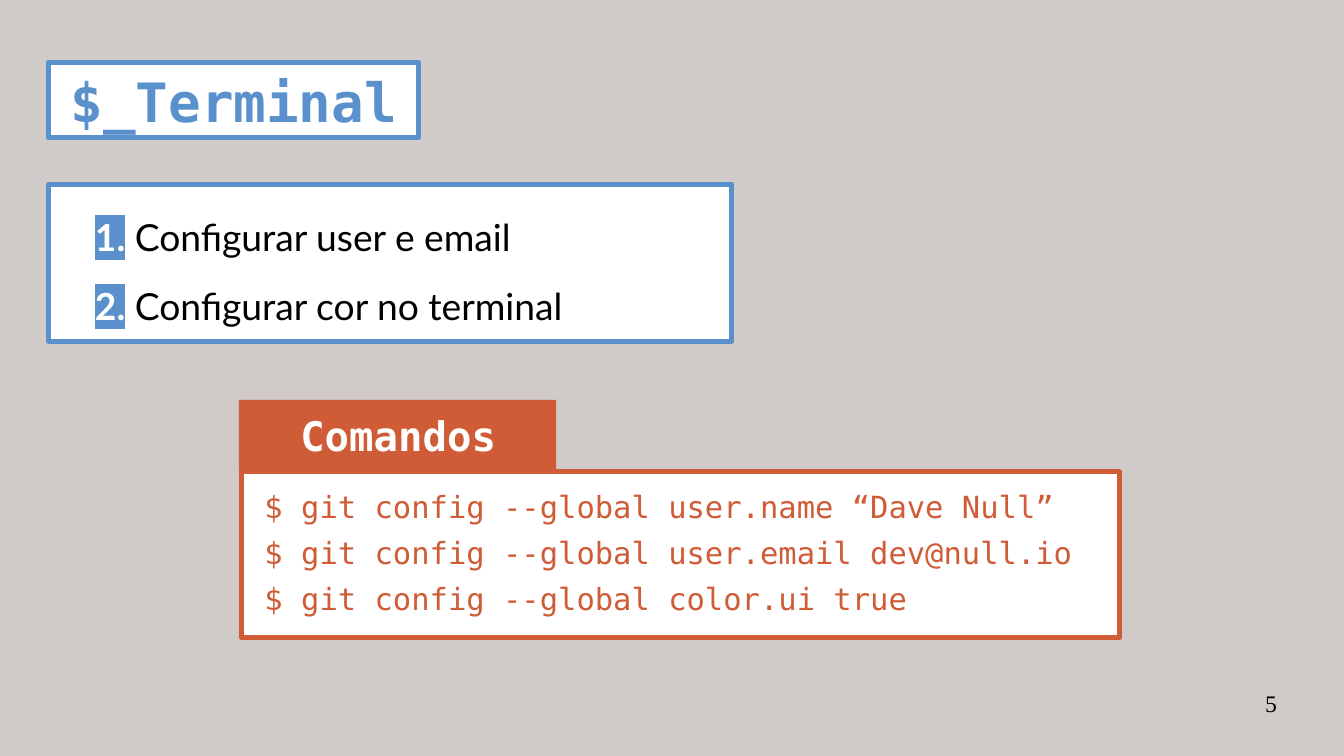
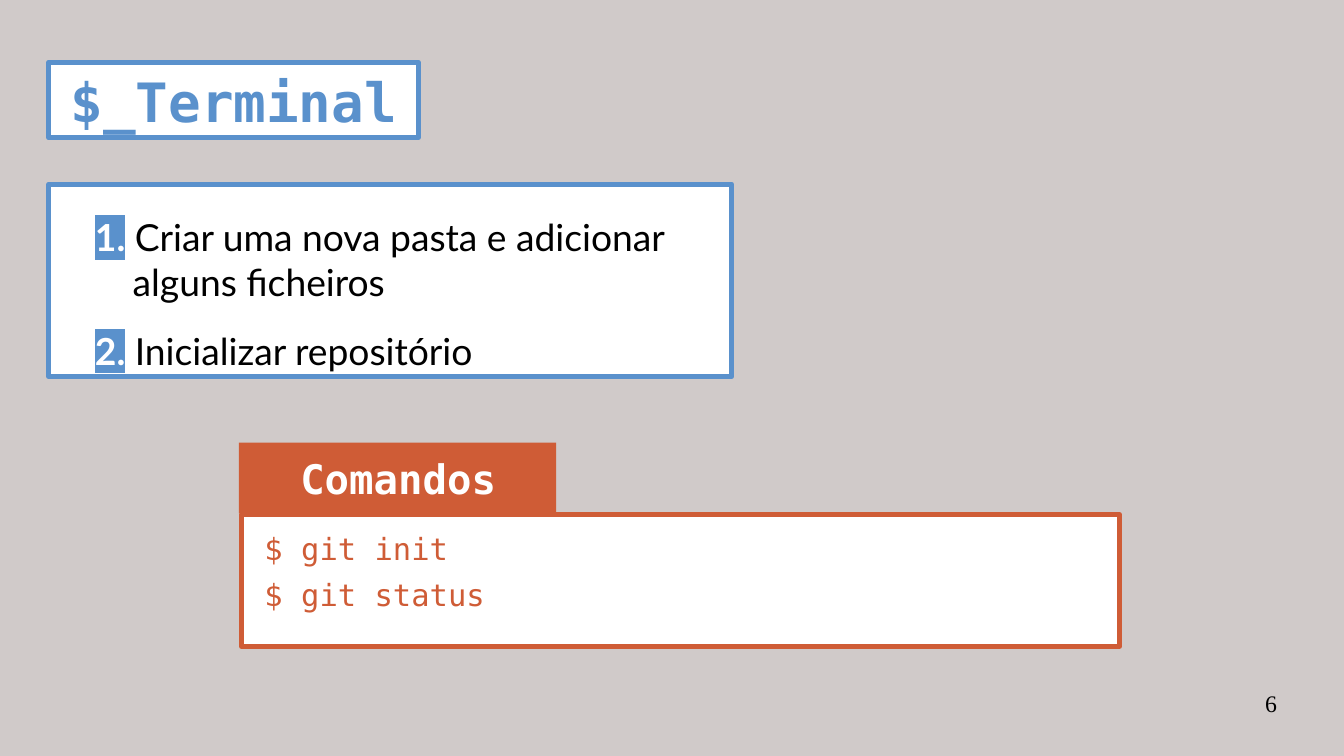
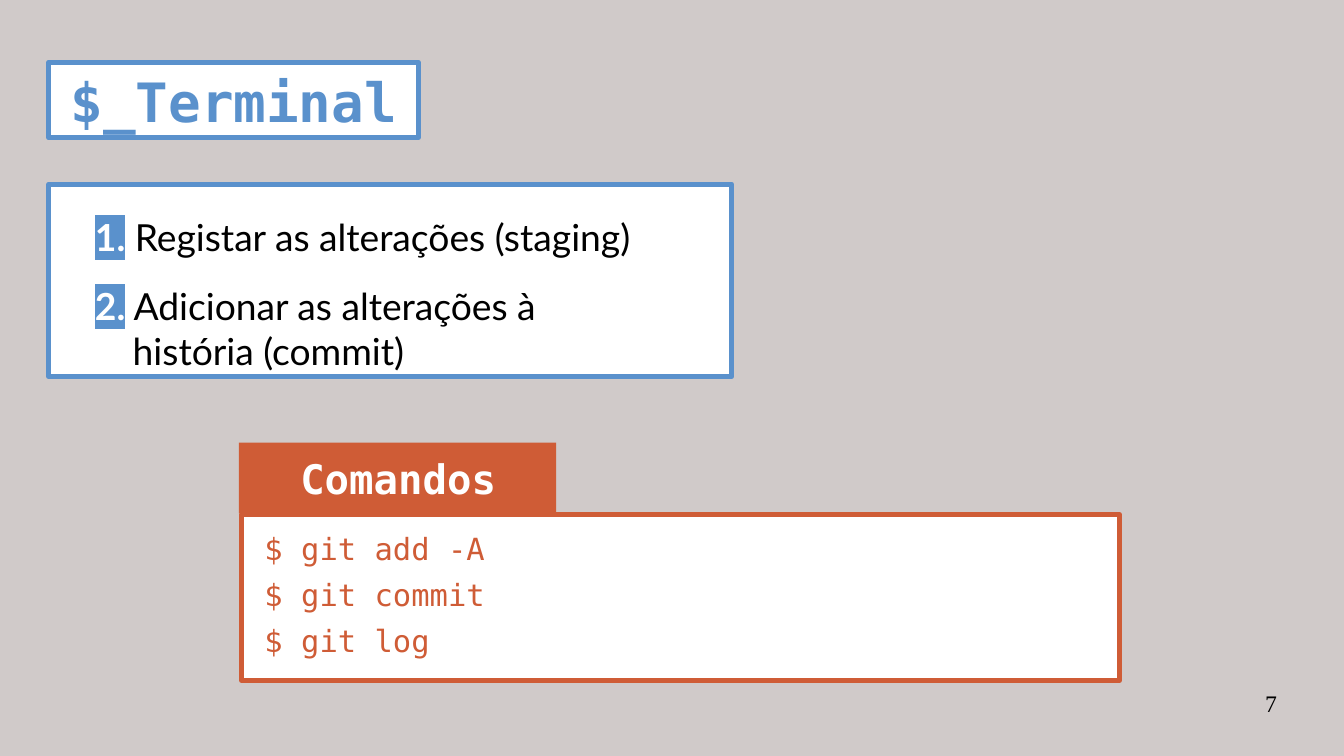
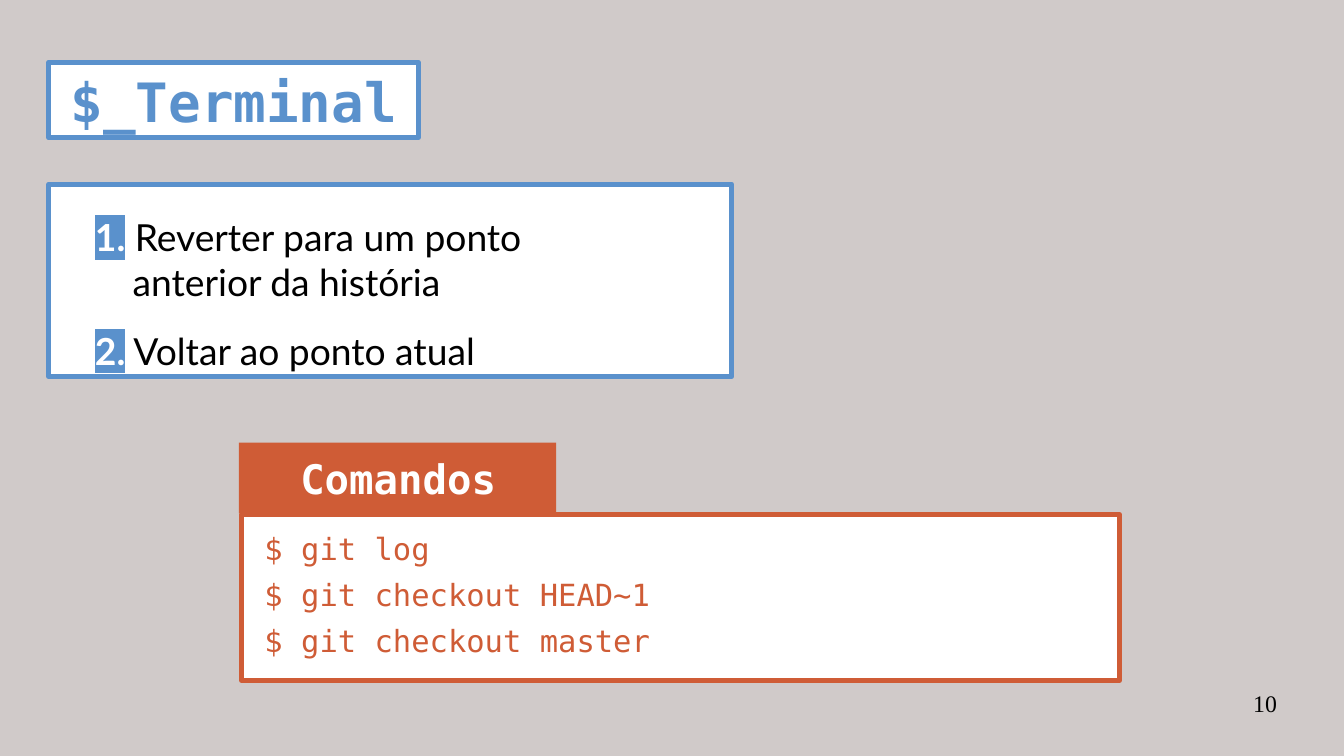
from lxml.etree import SubElement
from pptx import Presentation
from pptx.dml.color import RGBColor
from pptx.enum.shapes import MSO_SHAPE
from pptx.enum.text import PP_ALIGN
from pptx.oxml.ns import qn
from pptx.util import Inches, Pt

TITLE = "$_Terminal"
LABEL = "Comandos"
# Page number, steps, commands. A line feed marks a line break in a step.
LESSONS = [
    ("5",
     ["Configurar user e email", "Configurar cor no terminal"],
     ["$ git config --global user.name “Dave Null”",
      "$ git config --global user.email dev@null.io",
      "$ git config --global color.ui true"]),
    ("6",
     ["Criar uma nova pasta e adicionar\nalguns ficheiros",
      "Inicializar repositório"],
     ["$ git init", "$ git status"]),
    ("7",
     ["Registar as alterações (staging)",
      "Adicionar as alterações à\nhistória (commit)"],
     ["$ git add -A", "$ git commit", "$ git log"]),
    ("10",
     ["Reverter para um ponto\nanterior da história",
      "Voltar ao ponto atual"],
     ["$ git log", "$ git checkout HEAD~1", "$ git checkout master"]),
]

GREY, WHITE, BLACK = "D0CAC9", "FFFFFF", "000000"
BLUE, ORANGE = "5A91CC", "CF5C36"
MONO, SANS, SERIF = "DejaVu Sans Mono", "Lato", "Times New Roman"
BORDER = 2.89
HANGING = 0.31


def color(hex_string):
    """Turn a hex string into a colour."""
    return RGBColor.from_string(hex_string)


def add_box(slide, left, top, width, height, fill, border=None):
    """Draw a rectangle, with a round-cornered border if a colour is given."""
    shape = slide.shapes.add_shape(MSO_SHAPE.RECTANGLE, Inches(left), Inches(top),
                                   Inches(width), Inches(height))
    shape.shadow.inherit = False
    shape.fill.solid()
    shape.fill.fore_color.rgb = color(fill)
    if border:
        shape.line.color.rgb = color(border)
        shape.line.width = Pt(BORDER)
        SubElement(shape.line._get_or_add_ln(), qn("a:round"))
    else:
        shape.line.fill.background()


def add_text_frame(slide, left, top, width, height, inset=(0.1, 0.05)):
    """Add a wrapping text box and return its text frame."""
    frame = slide.shapes.add_textbox(Inches(left), Inches(top),
                                     Inches(width), Inches(height)).text_frame
    frame.word_wrap = True
    frame.margin_left = frame.margin_right = Inches(inset[0])
    frame.margin_top = frame.margin_bottom = Inches(inset[1])
    return frame


def add_paragraph(frame, index, size, name, ink, bold=False, before=0, after=0):
    """Return the paragraph at this index, made if needed, with its style set."""
    paragraph = frame.add_paragraph() if index else frame.paragraphs[0]
    paragraph.space_before, paragraph.space_after = Pt(before), Pt(after)
    font = paragraph.font
    font.size, font.name, font.bold = Pt(size), name, bold
    font.color.rgb = color(ink)
    return paragraph


def add_step_number(paragraph, number):
    """Add a bold white number on a blue highlight."""
    run = paragraph.add_run()
    run.text = f"{number}."
    run.font.bold = True
    run.font.color.rgb = color(WHITE)
    highlight = SubElement(run.font._element, qn("a:highlight"))
    SubElement(highlight, qn("a:srgbClr"), val=BLUE)


def add_title(slide):
    """Draw the framed title."""
    add_box(slide, 0.4, 0.51, 3.03, 0.62, WHITE, BLUE)
    frame = add_text_frame(slide, 0.48, 0.51, 2.88, 0.62)
    add_paragraph(frame, 0, 32, MONO, BLUE, bold=True).text = TITLE


def add_steps(slide, steps, line_count):
    """Draw the numbered steps in a frame as tall as their lines need."""
    height = 0.71 + 0.29 * line_count
    add_box(slide, 0.4, 1.51, 5.6, height, WHITE, BLUE)
    frame = add_text_frame(slide, 0.68, 1.71, 4.92, height)
    for index, step in enumerate(steps):
        paragraph = add_paragraph(frame, index, 22, SANS, BLACK, before=2.8, after=11.5)
        properties = paragraph._p.get_or_add_pPr()
        properties.set("marL", str(Inches(HANGING)))
        properties.set("indent", str(-Inches(HANGING)))
        add_step_number(paragraph, index + 1)
        first, *others = step.split("\n")
        paragraph.add_run().text = f" {first}"
        for line in others:
            paragraph.add_line_break()
            paragraph.add_run().text = line


def add_commands(slide, commands, top):
    """Draw the label tab and the framed commands under it."""
    add_box(slide, 1.98, top + 0.59, 7.2, 0.52 + 0.28 * len(commands), WHITE, ORANGE)
    add_box(slide, 1.96, top, 2.6, 0.58, ORANGE)
    label = add_text_frame(slide, 1.96, top + 0.04, 2.61, 0.62)
    paragraph = add_paragraph(label, 0, 24, MONO, WHITE, bold=True)
    paragraph.text = LABEL
    paragraph.alignment = PP_ALIGN.CENTER
    frame = add_text_frame(slide, 2.07, top + 0.67, 7.51, 1.38)
    for index, command in enumerate(commands):
        add_paragraph(frame, index, 18, MONO, ORANGE, before=2.8, after=2.8).text = command


def add_page_number(slide, number):
    """Write the page number at the lower right."""
    frame = add_text_frame(slide, 7.9, 5.65, 2.57, 0.43, inset=(0, 0))
    paragraph = add_paragraph(frame, 0, 14, SERIF, BLACK)
    paragraph.text = number
    paragraph.alignment = PP_ALIGN.RIGHT


def main():
    """Build one slide per lesson and save the presentation."""
    presentation = Presentation()
    presentation.slide_width, presentation.slide_height = Inches(11.02), Inches(6.2)
    background = presentation.slide_master.background.fill
    background.solid()
    background.fore_color.rgb = color(GREY)
    for number, steps, commands in LESSONS:
        slide = presentation.slides.add_slide(presentation.slide_layouts[6])
        line_count = len("\n".join(steps).split("\n"))
        add_title(slide)
        add_steps(slide, steps, line_count)
        add_commands(slide, commands, 2.58 + 0.35 * line_count)
        add_page_number(slide, number)
    presentation.save("out.pptx")


main()
